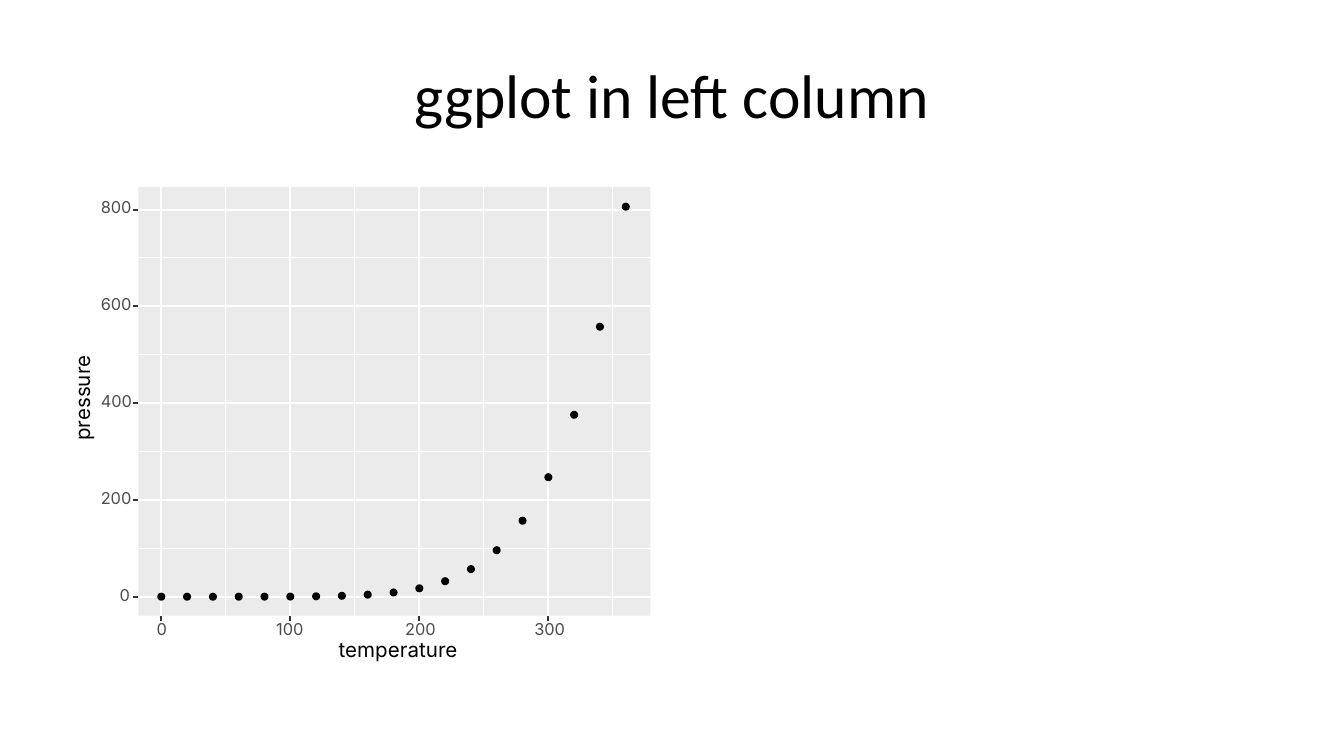
"""Build a slide with a scatter plot of pressure against temperature in the left column."""
from lxml.etree import SubElement
from pptx import Presentation
from pptx.dml.color import RGBColor
from pptx.enum.shapes import MSO_CONNECTOR as CONN, MSO_SHAPE as SHAPE
from pptx.enum.text import MSO_ANCHOR as ANCHOR, PP_ALIGN as ALIGN
from pptx.oxml.ns import qn
from pptx.util import Inches, Pt

TITLE = "ggplot in left column"
X_TITLE, Y_TITLE = "temperature", "pressure"
PRESSURES = [0, 0, 0.01, 0.03, 0.09, 0.27, 0.75, 1.85, 4.2, 8.8,
             17.3, 32.1, 57, 96, 157, 247, 376, 558, 806]
POINTS = [(20 * i, v) for i, v in enumerate(PRESSURES)]
X_MAJOR, X_MINOR = range(0, 301, 100), range(50, 351, 100)
Y_MAJOR, Y_MINOR = range(0, 801, 200), range(100, 701, 200)

WHITE = RGBColor(0xFF, 0xFF, 0xFF)
BLACK = RGBColor(0, 0, 0)
PANEL = RGBColor(0xEB, 0xEB, 0xEB)
TICK = RGBColor(0x33, 0x33, 0x33)
LABEL = RGBColor(0x4D, 0x4D, 0x4D)

LEFT, TOP, RIGHT, BOTTOM = 1.03, 1.39, 4.84, 4.58
X_ZERO, X_STEP = 1.2, 0.96
Y_ZERO, Y_STEP = 4.44, 0.36
TICK_LEN, DOT, DIGIT, LABEL_H = 0.04, 0.05, 0.07, 0.09

prs = Presentation()
prs.slide_width = Inches(10)
prs.slide_height = prs.slide_width * 9 // 16
s = prs.slides.add_slide(prs.slide_layouts[5])


def x_at(value):
    return X_ZERO + X_STEP * value / 100


def y_at(value):
    return Y_ZERO - Y_STEP * value / 100


def add_box(kind, box, fill, line=None, width=0):
    sp = plot.shapes.add_shape(kind, *map(Inches, box))
    sp.shadow.inherit = False
    sp.fill.solid()
    sp.fill.fore_color.rgb = fill
    if line is None:
        sp.line.fill.background()
    else:
        sp.line.color.rgb = line
        sp.line.width = Pt(width)


def add_line(ends, color, width):
    sp = plot.shapes.add_connector(CONN.STRAIGHT, *map(Inches, ends))
    sp.line.color.rgb = color
    sp.line.width = Pt(width)
    SubElement(sp._element.spPr, qn("a:effectLst"))


def add_text(text, box, size, color, rotation=0):
    sp = plot.shapes.add_textbox(*map(Inches, box))
    sp.rotation = rotation
    tf = sp.text_frame
    tf.margin_left = tf.margin_right = tf.margin_top = tf.margin_bottom = 0
    tf.word_wrap = False
    tf.auto_size = None
    tf.vertical_anchor = ANCHOR.MIDDLE
    p = tf.paragraphs[0]
    p.text = text
    p.line_spacing = Pt(size)
    p.font.size, p.font.name = Pt(size), "Inter"
    p.font.color.rgb = color


title = s.shapes.title
title.left, title.top, title.width, title.height = map(Inches, (0.5, 0.23, 9, 0.94))
title.text_frame.text = TITLE
title.text_frame.vertical_anchor = ANCHOR.MIDDLE
p = title.text_frame.paragraphs[0]
p.alignment = ALIGN.CENTER
p.font.size, p.font.name = Pt(33), "Calibri"
p.font.color.rgb = BLACK

plot = s.shapes.add_group_shape()
for width in (0.75, 1.07):
    add_box(SHAPE.RECTANGLE, (0.5, 1.31, 4.42, 3.71), WHITE, WHITE, width)
add_box(SHAPE.RECTANGLE, (LEFT, TOP, RIGHT - LEFT, BOTTOM - TOP), PANEL)

for xs, ys, width in ((X_MINOR, Y_MINOR, 0.53), (X_MAJOR, Y_MAJOR, 1.07)):
    for y in map(y_at, ys):
        add_line((LEFT, y, RIGHT, y), WHITE, width)
    for x in map(x_at, xs):
        add_line((x, BOTTOM, x, TOP), WHITE, width)

for temperature, pressure in POINTS:
    corner = (x_at(temperature) - DOT / 2, y_at(pressure) - DOT / 2)
    add_box(SHAPE.OVAL, (*corner, DOT, DOT), BLACK, BLACK, 0.71)

for value in Y_MAJOR:
    y, w = y_at(value), DIGIT * len(str(value))
    add_text(str(value), (0.96 - w, y - 0.05, w, LABEL_H), 8.8, LABEL)
    add_line((LEFT - TICK_LEN, y, LEFT, y), TICK, 1.07)
for value in X_MAJOR:
    x, w = x_at(value), DIGIT * len(str(value))
    add_line((x, BOTTOM + TICK_LEN, x, BOTTOM), TICK, 1.07)
    add_text(str(value), (x - w / 2, 4.65, w, LABEL_H), 8.8, LABEL)

add_text(X_TITLE, (2.52, 4.78, 0.82, 0.13), 11, BLACK)
add_text(Y_TITLE, (0.33, 2.93, 0.59, 0.11), 11, BLACK, 270)

prs.save("out.pptx")
